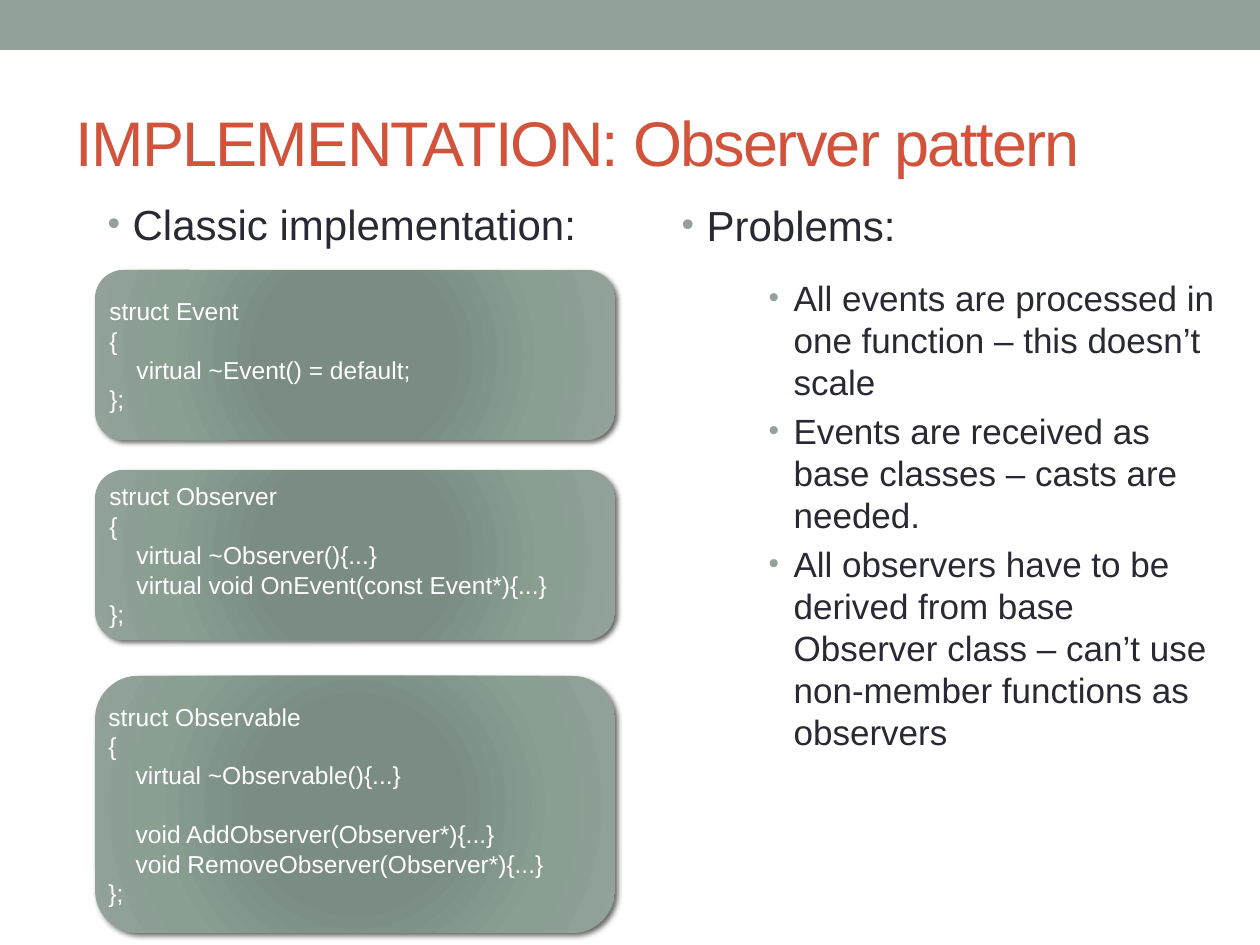
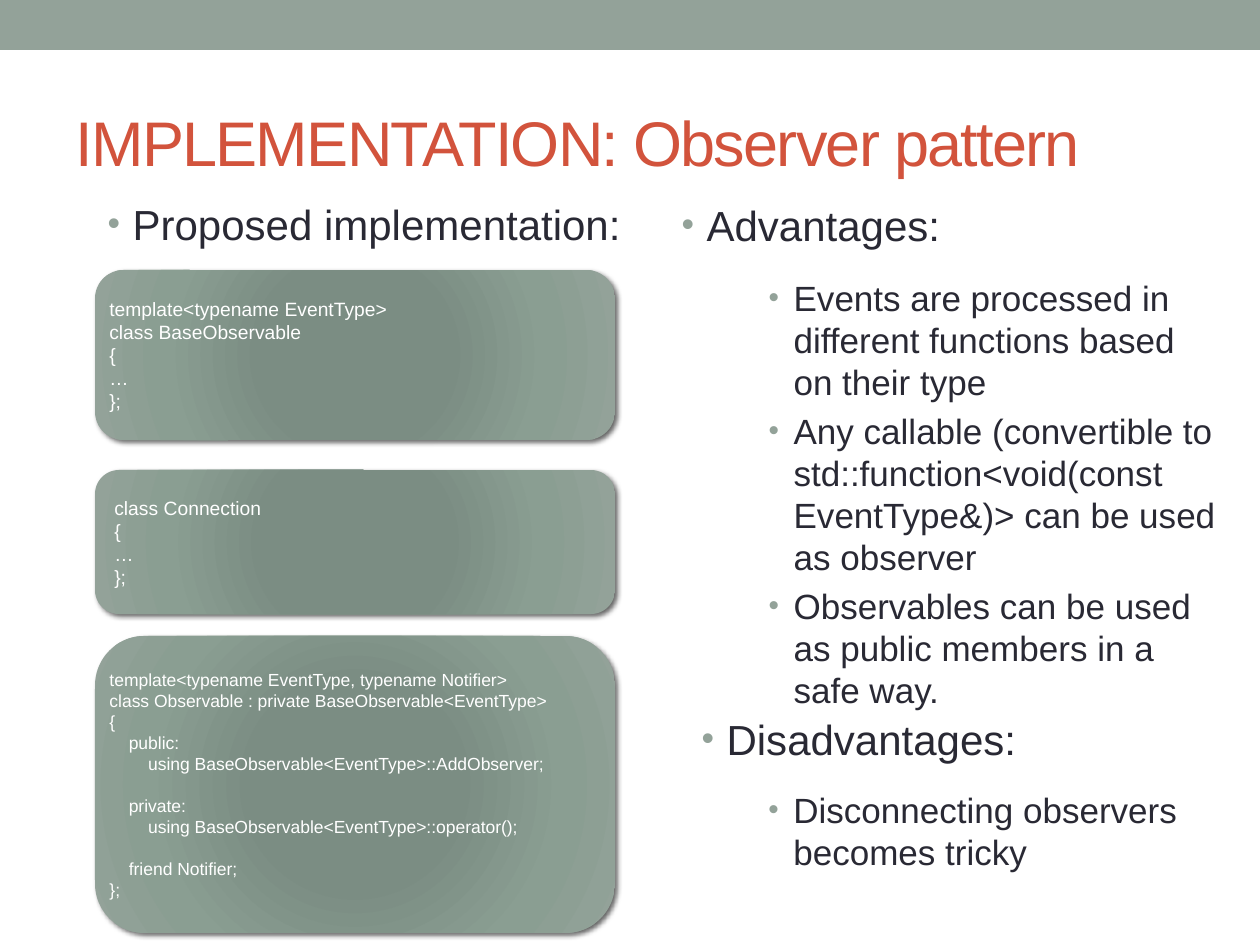
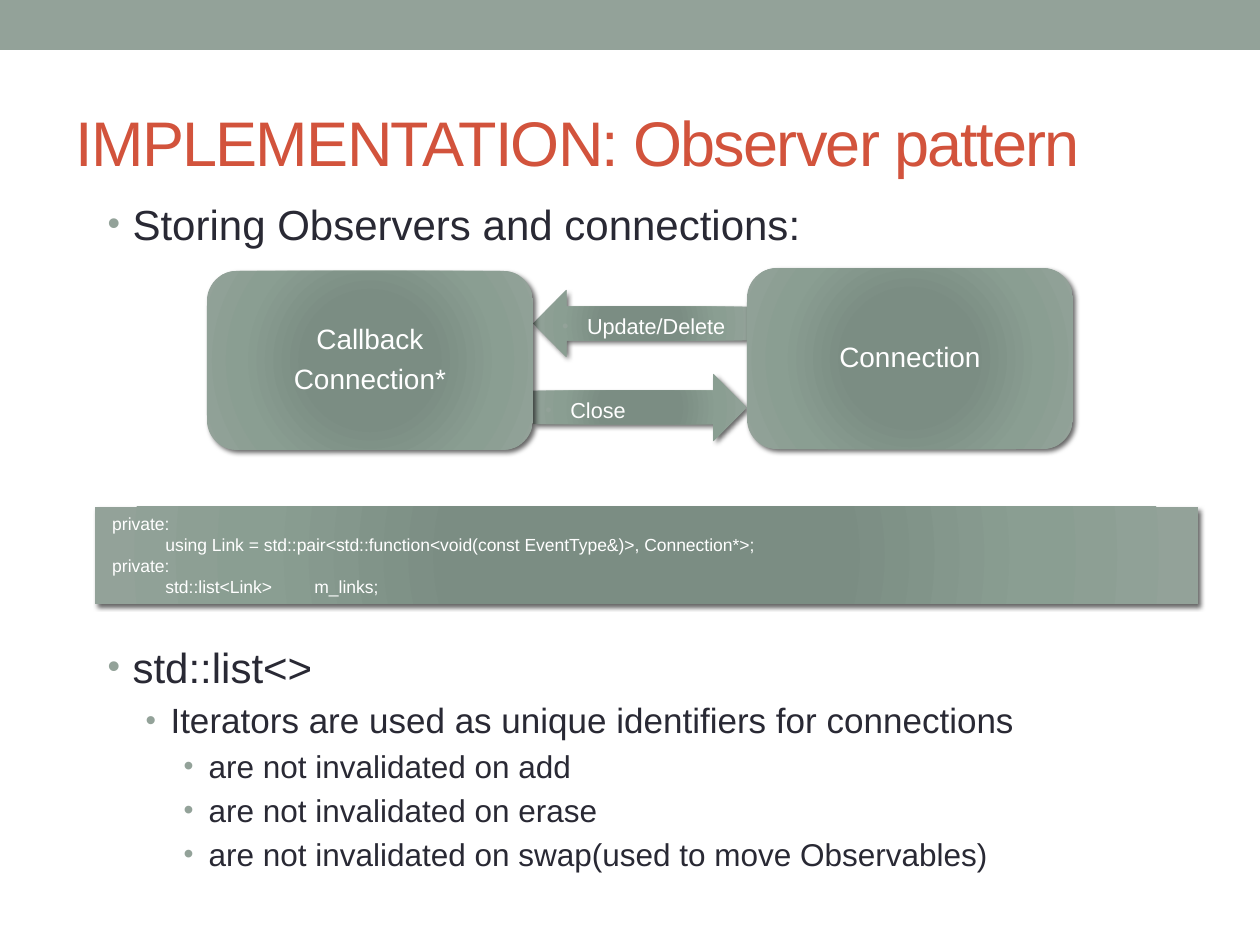
from dataclasses import dataclass

from pptx import Presentation
from pptx.dml.color import RGBColor
from pptx.enum.shapes import MSO_SHAPE
from pptx.enum.text import MSO_ANCHOR, MSO_AUTO_SIZE, PP_ALIGN
from pptx.oxml import parse_xml
from pptx.oxml.ns import nsdecls
from pptx.util import Emu, Pt

SCALE = 914400 / 126
COMPARE, TWIN = 4, 3


@dataclass(frozen=True)
class Theme:
    """Colours, font and type sizes of the deck."""
    font: str = "Arial"
    sage: str = "93A299"
    rust: str = "D2533C"
    ink: str = "292934"
    white: str = "FFFFFF"
    shade: tuple = ((0, "7B8E82"), (34, "7B8D83"), (70, "8A9E92"), (100, "93A299"))
    title: int = 36
    levels: tuple = (24, 20, 18)
    dots: tuple = (85, 85, 90)
    box: int = 16
    arrow: float = 12.4


THEME = Theme()


def px(count):
    """Turn px into EMU."""
    return Emu(round(count * SCALE))


def xml(body):
    """Build one drawing element from its markup."""
    tag, rest = body[1:].split(" ", 1)
    return parse_xml(f"<{tag} {nsdecls('a')} {rest}")


def place(shape, spot):
    """Move and size a shape."""
    shape.left, shape.top, shape.width, shape.height = map(px, spot)


def add_run(para, text, size, color):
    """Add one run in the deck's font."""
    run = para.add_run()
    run.text = text
    run.font.name, run.font.size, run.font.bold = THEME.font, Pt(size), False
    run.font.color.rgb = RGBColor.from_string(color)
    return run


def add_para(frame, first):
    """Give the first paragraph of a frame, or a new one, set left."""
    para = frame.paragraphs[0] if first else frame.add_paragraph()
    para.alignment = PP_ALIGN.LEFT
    return para


def add_dot(para, level=0):
    """Give a paragraph the hanging bullet of its level."""
    props = para._p.get_or_add_pPr()
    props.set("marL", str(px(25 + 38 * level)))
    props.set("indent", str(-px(25)))
    for body in (f'<a:buClr ><a:srgbClr val="{THEME.sage}"/></a:buClr>',
                 f'<a:buSzPct val="{THEME.dots[level]}000"/>',
                 f'<a:buFont typeface="{THEME.font}"/>',
                 '<a:buChar char="•"/>'):
        props.append(xml(body))


def add_band(prs, slide):
    """Put the top band on the master."""
    band = slide.shapes.add_shape(MSO_SHAPE.RECTANGLE, 0, 0, px(1260), px(50))
    band.shadow.inherit = False
    band.fill.solid()
    band.fill.fore_color.rgb = RGBColor.from_string(THEME.sage)
    band.line.fill.background()
    band.element.nvSpPr.cNvPr.id = 99
    prs.slide_master.shapes.element.insert(2, band.element)


def add_slide(prs, layout):
    """Add a titled slide; return it and its body placeholders."""
    slide = prs.slides.add_slide(prs.slide_layouts[layout])
    title = slide.shapes.title
    place(title, (63, 73, 1134, 136))
    frame = title.text_frame
    frame.vertical_anchor, frame.auto_size = MSO_ANCHOR.MIDDLE, MSO_AUTO_SIZE.NONE
    run = add_run(add_para(frame, True), "IMPLEMENTATION: Observer pattern",
                  THEME.title, THEME.rust)
    run.font._element.set("spc", "-100")
    return slide, iter([item for item in slide.placeholders
                        if item.placeholder_format.idx])


def add_list(slide, slots, spot, items, base=0):
    """Fill the next body placeholder, or a text box, with (level, text) items."""
    shape = next(slots, None) or slide.shapes.add_textbox(0, 0, 0, 0)
    place(shape, spot)
    frame = shape.text_frame
    frame.word_wrap, frame.auto_size = True, MSO_AUTO_SIZE.NONE
    frame.vertical_anchor = MSO_ANCHOR.TOP
    for index, (level, text) in enumerate(items):
        size = THEME.levels[level + base]
        para = add_para(frame, index == 0)
        para.level = level
        add_dot(para, level)
        para.space_before = Pt(size * 0.2 if index else 0)
        add_run(para, text, size, THEME.ink)


def add_points(slide, slots, spot, texts):
    """Add a list of second-size points on the first indent."""
    add_list(slide, slots, spot, [(0, text) for text in texts], 1)


def add_head(slide, slots, spot, text):
    """Add a one-line heading with a bullet."""
    add_list(slide, slots, spot, [(0, text)])


def clear(slots):
    """Remove the placeholders left empty."""
    for item in slots:
        item.element.getparent().remove(item.element)


def add_form(slide, kind, spot, anchor):
    """Add a shaded shape with a soft shadow; return its text frame."""
    shape = slide.shapes.add_shape(kind, *map(px, spot))
    stops = "".join(f'<a:gs pos="{at}000"><a:srgbClr val="{color}"/></a:gs>'
                    for at, color in THEME.shade)
    props = shape.element.spPr
    props.append(xml(
        f'<a:gradFill rotWithShape="1"><a:gsLst>{stops}</a:gsLst><a:path path="circle">'
        '<a:fillToRect l="100000" t="100000" r="100000" b="100000"/>'
        '</a:path></a:gradFill>'))
    shape.line.fill.background()
    shape.shadow.inherit = False
    props[-1].append(xml(
        f'<a:outerShdw blurRad="{Pt(3)}" dist="{Pt(2)}" dir="2700000" rotWithShape="0">'
        '<a:srgbClr val="000000"><a:alpha val="60000"/></a:srgbClr></a:outerShdw>'))
    frame = shape.text_frame
    frame.word_wrap, frame.vertical_anchor = True, anchor
    return frame


def add_code(frame, lines, size, tab=None):
    """Write code lines; an empty line becomes space before the next one."""
    gap = 0
    for index, line in enumerate(lines):
        if not line:
            gap = size * 1.2
            continue
        para = add_para(frame, index == 0)
        if tab and "\t" in line:
            para._p.get_or_add_pPr().append(xml(
                f'<a:tabLst ><a:tab pos="{px(tab)}" algn="l"/></a:tabLst>'))
        para.space_before = Pt(gap)
        add_run(para, line, size, THEME.white)
        gap = 0


def add_block(slide, top, high, size, *lines):
    """Add a rounded code block of the left column."""
    frame = add_form(slide, MSO_SHAPE.ROUNDED_RECTANGLE, (95, top, 520, high),
                     MSO_ANCHOR.MIDDLE)
    side = px(max(0, round(14 - high * 0.0488)))
    frame.margin_left = frame.margin_right = side
    frame.margin_top = frame.margin_bottom = 0
    add_code(frame, lines, size)


def add_box(slide, spot, *lines):
    """Add a rounded box with centred lines."""
    frame = add_form(slide, MSO_SHAPE.ROUNDED_RECTANGLE, spot, MSO_ANCHOR.MIDDLE)
    for index, line in enumerate(lines):
        para = add_para(frame, index == 0)
        para.alignment = PP_ALIGN.CENTER
        para.line_spacing, para.space_after = 0.9, Pt(THEME.box * 0.35)
        add_run(para, line, THEME.box, THEME.white)


def add_arrow(slide, kind, top, text):
    """Add a block arrow between the two boxes."""
    frame = add_form(slide, kind, (533, top, 214, 67), MSO_ANCHOR.TOP)
    para = add_para(frame, True)
    add_dot(para)
    add_run(para, text, THEME.arrow, THEME.white)


def add_classic(prs):
    """Build the slide on the classic version."""
    slide, slots = add_slide(prs, COMPARE)
    add_band(prs, slide)
    add_head(slide, slots, (95, 192, 563, 78), "Classic implementation:")
    add_head(slide, slots, (669, 193, 563, 78), "Problems:")
    add_points(slide, slots, (756, 270, 476, 664), (
        "All events are processed in one function – this doesn’t scale",
        "Events are received as base classes – casts are needed.",
        "All observers have to be derived from base Observer class – "
        "can’t use non-member functions as observers"))
    clear(slots)
    add_block(slide, 270, 170, 14,
              "struct Event", "{", "    virtual ~Event() = default;", "};")
    add_block(slide, 470, 170, 14,
              "struct Observer", "{", "    virtual ~Observer(){...}",
              "    virtual void OnEvent(const Event*){...}", "};")
    add_block(slide, 676, 257, 14,
              "struct Observable", "{", "    virtual ~Observable(){...}", "",
              "    void AddObserver(Observer*){...}",
              "    void RemoveObserver(Observer*){...}", "};")


def add_new(prs):
    """Build the slide on the proposed version."""
    slide, slots = add_slide(prs, COMPARE)
    add_head(slide, slots, (95, 192, 563, 78), "Proposed implementation:")
    add_head(slide, slots, (669, 193, 563, 78), "Advantages:")
    add_points(slide, slots, (756, 270, 476, 437), (
        "Events are processed in different functions based on their type",
        "Any callable (convertible to std::function<void(const EventType&)> "
        "can be used as observer",
        "Observables can be used as public members in a safe way."))
    add_head(slide, slots, (689, 707, 563, 78), "Disadvantages:")
    add_points(slide, slots, (756, 782, 476, 92),
               ["Disconnecting observers becomes tricky"])
    add_block(slide, 270, 170, 11,
              "template<typename EventType>", "class BaseObservable", "{", "…", "};")
    add_block(slide, 470, 144, 11, " class Connection", " {", " …", " };")
    add_block(slide, 636, 297, 10,
              "template<typename EventType, typename Notifier>",
              "class Observable : private BaseObservable<EventType>", "{",
              "    public:",
              "        using BaseObservable<EventType>::AddObserver;", "",
              "    private:",
              "        using BaseObservable<EventType>::operator();", "",
              "    friend Notifier;", "};")


def add_store(prs):
    """Build the slide on storing observers."""
    slide, slots = add_slide(prs, TWIN)
    add_head(slide, slots, (95, 192, 1103, 78), "Storing Observers and connections:")
    add_list(slide, slots, (95, 635, 1103, 273), (
        (0, "std::list<>"),
        (1, "Iterators are used as unique identifiers for connections"),
        (2, "are not invalidated on add"),
        (2, "are not invalidated on erase"),
        (2, "are not invalidated on swap(used to move Observables)")))
    frame = add_form(slide, MSO_SHAPE.RECTANGLE, (95, 507, 1103, 97), MSO_ANCHOR.TOP)
    add_code(frame, (
        " private:",
        "            using Link = std::pair<std::function<void(const EventType&)>, "
        "Connection*>;",
        " private:",
        "            std::list<Link>\tm_links;"), 10, 207)
    add_arrow(slide, MSO_SHAPE.RIGHT_ARROW, 374, "Close")
    add_arrow(slide, MSO_SHAPE.LEFT_ARROW, 290, "Update/Delete")
    add_box(slide, (207, 271, 326, 179), "Callback", "Connection*")
    add_box(slide, (747, 268, 326, 181), "Connection")


def main():
    """Build and save the deck."""
    prs = Presentation()
    prs.slide_width, prs.slide_height = px(1260), px(945)
    add_classic(prs)
    add_new(prs)
    add_store(prs)
    prs.save("out.pptx")


if __name__ == "__main__":
    main()
